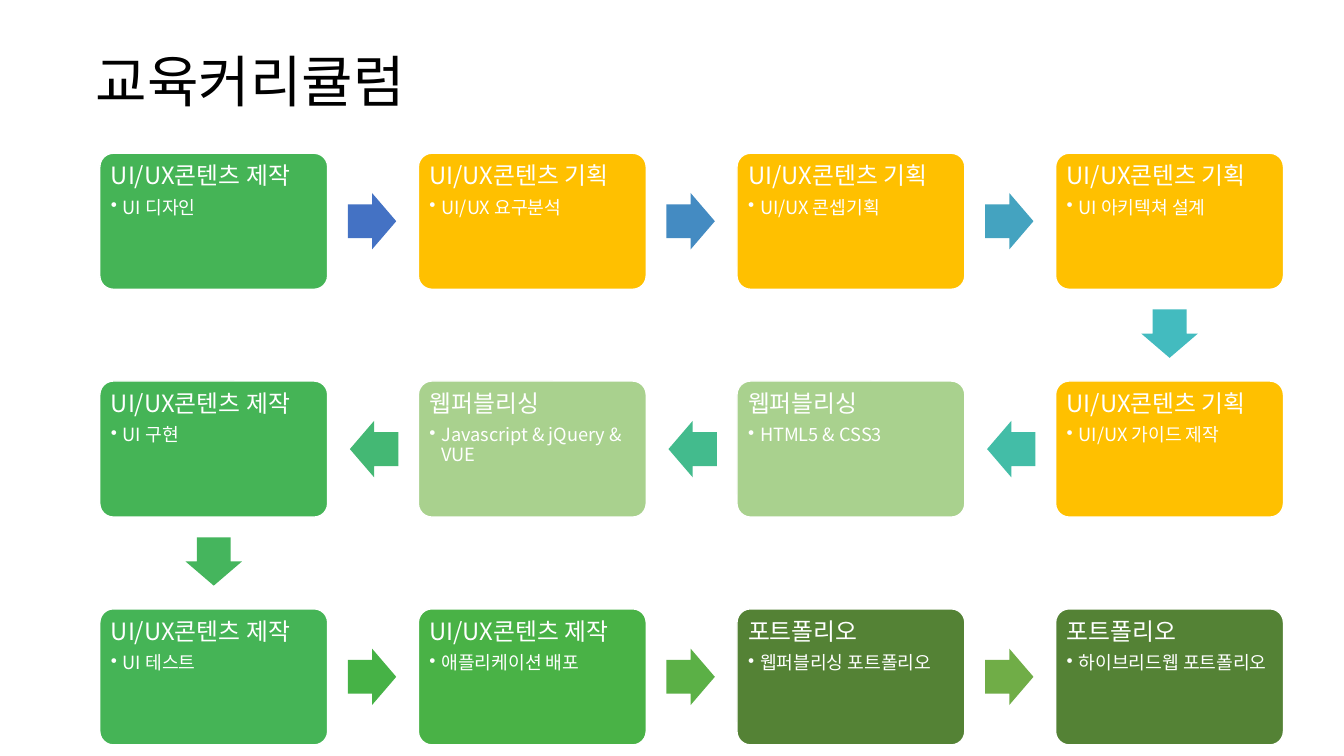
import pptx
import pptx.dml.color
import pptx.enum.shapes
import pptx.enum.text
import pptx.oxml
import pptx.oxml.ns
import pptx.util

Inches = pptx.util.Inches
Pt = pptx.util.Pt
Shape = pptx.enum.shapes.MSO_SHAPE
Align = pptx.enum.text.PP_ALIGN
Anchor = pptx.enum.text.MSO_ANCHOR


class Theme:
    font = "Noto Sans CJK KR"
    ink = "000000"
    white = "FFFFFF"
    make = "45B456"
    plan = "FFC000"
    web = "A9D18E"
    ship = "49B246"
    folio = "548235"
    arrows = ["4472C4", "448BC2", "44A3C0", "43BBBF", "43BDA7", "43BB8D",
              "44B874", "45B55D", "46B246", "5BB046", "70AD47"]
    title = 40
    head = 17
    item = 13


MAKE = "UI/UX콘텐츠 제작"
PLAN = "UI/UX콘텐츠 기획"
WEB = "웹퍼블리싱"
FOLIO = "포트폴리오"

STEPS = [
    (MAKE, "UI 디자인", Theme.make),
    (PLAN, "UI/UX 요구분석", Theme.plan),
    (PLAN, "UI/UX 콘셉기획", Theme.plan),
    (PLAN, "UI 아키텍쳐 설계", Theme.plan),
    (PLAN, "UI/UX 가이드 제작", Theme.plan),
    (WEB, "HTML5 & CSS3", Theme.web),
    (WEB, "Javascript & jQuery & VUE", Theme.web),
    (MAKE, "UI 구현", Theme.make),
    (MAKE, "UI 테스트", Theme.make),
    (MAKE, "애플리케이션 배포", Theme.ship),
    (FOLIO, "웹퍼블리싱 포트폴리오", Theme.folio),
    (FOLIO, "하이브리드웹 포트폴리오", Theme.folio),
]

COLS = 4
CARD_W, CARD_H = 2.26, 1.35
STEP_X, STEP_Y = 3.16, 2.26
ARROW_W, ARROW_H = 0.48, 0.56


def color(code):
    return pptx.dml.color.RGBColor.from_string(code)


def style(para, size, code):
    para.alignment = Align.LEFT
    para.line_spacing = 0.9
    for run in para.runs:
        run.font.name = Theme.font
        run.font.size = Pt(size)
        run.font.color.rgb = color(code)
        east = pptx.oxml.parse_xml(
            f'<a:ea {pptx.oxml.ns.nsdecls("a")} typeface="{Theme.font}"/>')
        run.font._element.find(pptx.oxml.ns.qn("a:latin")).addnext(east)


def bullet(para):
    props = para._p.get_or_add_pPr()
    props.set("marL", str(Inches(0.12)))
    props.set("indent", str(Inches(-0.12)))
    props.append(pptx.oxml.parse_xml(
        f'<a:buChar {pptx.oxml.ns.nsdecls("a")} char="•"/>'))


def add_title(slide, left, top, width, height):
    title = slide.shapes.title
    title.left, title.top = Inches(left), Inches(top)
    title.width, title.height = Inches(width), Inches(height)
    frame = title.text_frame
    frame.text = "교육커리큘럼"
    frame.vertical_anchor = Anchor.MIDDLE
    style(frame.paragraphs[0], Theme.title, Theme.ink)


def add_card(slide, left, top, head, item, fill):
    card = slide.shapes.add_shape(
        Shape.ROUNDED_RECTANGLE, Inches(left), Inches(top),
        Inches(CARD_W), Inches(CARD_H))
    card.adjustments[0] = 0.1
    card.shadow.inherit = False
    card.fill.solid()
    card.fill.fore_color.rgb = color(fill)
    card.line.color.rgb = color(Theme.white)
    card.line.width = Pt(1)
    frame = card.text_frame
    frame.word_wrap = True
    frame.vertical_anchor = Anchor.TOP
    frame.margin_left = frame.margin_right = Inches(0.07)
    frame.margin_top = frame.margin_bottom = Inches(0.07)
    frame.text = head
    first = frame.paragraphs[0]
    style(first, Theme.head, Theme.white)
    first.space_after = Pt(6)
    second = frame.add_paragraph()
    second.text = item
    second.level = 1
    style(second, Theme.item, Theme.white)
    second.space_after = Pt(2)
    bullet(second)


def add_arrow(slide, left, top, turn, fill):
    if turn == 90:
        x, y = left + (CARD_W - ARROW_W) / 2, top + 1.51
    else:
        x = left + 2.46 if turn == 0 else left - 0.68
        y = top + (CARD_H - ARROW_H) / 2
    arrow = slide.shapes.add_shape(
        Shape.RIGHT_ARROW, Inches(x), Inches(y),
        Inches(ARROW_W), Inches(ARROW_H))
    arrow.adjustments[0] = 0.6
    arrow.adjustments[1] = 0.5
    arrow.rotation = turn
    arrow.shadow.inherit = False
    arrow.fill.solid()
    arrow.fill.fore_color.rgb = color(fill)
    arrow.line.fill.background()


def add_flow(slide, left, top):
    for i, (head, item, fill) in enumerate(STEPS):
        row, col = divmod(i, COLS)
        last = col == COLS - 1
        back = row % 2 == 1
        if back:
            col = COLS - 1 - col
        x, y = left + col * STEP_X, top + row * STEP_Y
        add_card(slide, x, y, head, item, fill)
        if i < len(Theme.arrows):
            turn = 90 if last else 180 if back else 0
            add_arrow(slide, x, y, turn, Theme.arrows[i])


def main():
    deck = pptx.Presentation()
    deck.slide_width, deck.slide_height = Inches(13.33), Inches(7.5)
    slide = deck.slides.add_slide(deck.slide_layouts[5])
    add_title(slide, 0.85, 0.11, 11.5, 1.45)
    add_flow(slide, 0.99, 1.52)
    deck.save("out.pptx")


if __name__ == "__main__":
    main()
